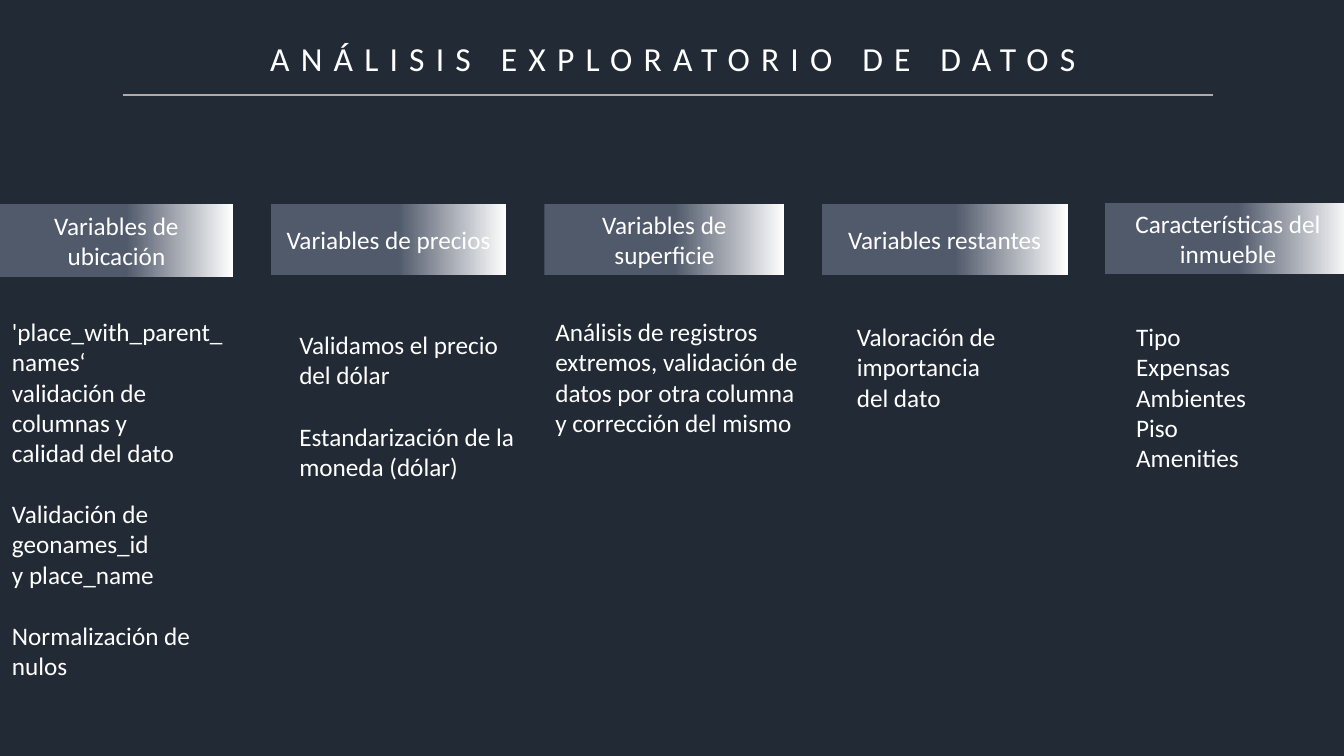
"""Build the slide on exploratory data analysis."""
from dataclasses import dataclass

from lxml import etree
from pptx import Presentation
from pptx.dml.color import RGBColor
from pptx.enum.shapes import MSO_CONNECTOR, MSO_SHAPE
from pptx.enum.text import MSO_ANCHOR, MSO_AUTO_SIZE, PP_ALIGN
from pptx.oxml.ns import qn
from pptx.util import Inches, Pt

STRAIGHT, RECTANGLE = MSO_CONNECTOR.STRAIGHT, MSO_SHAPE.RECTANGLE
TOP, MIDDLE = MSO_ANCHOR.TOP, MSO_ANCHOR.MIDDLE
LEFT, CENTER = PP_ALIGN.LEFT, PP_ALIGN.CENTER
NO_AUTOFIT = MSO_AUTO_SIZE.NONE
TITLE_ONLY = 5

TITLE = "ANÁLISIS EXPLORATORIO DE DATOS"
COLUMNS = [
    {"header": "Variables de ubicación", "header_at": (0, 2.02, 2.31, 0.73),
     "body_at": (0.02, 3.09, 2.39, 3.74),
     "groups": [["'place_with_parent_names‘", "validación de columnas y", "calidad del dato"],
                ["Validación de geonames_id", "y place_name"],
                ["Normalización de nulos"]]},
    {"header": "Variables de precios", "header_at": (2.69, 2.02, 2.33, 0.71),
     "body_at": (2.87, 3.22, 2.5, 2.22),
     "groups": [["Validamos el precio", "del dólar"],
                ["Estandarización de la", "moneda (dólar)"]]},
    {"header": "Variables de superficie", "header_at": (5.4, 2.02, 2.38, 0.71),
     "body_at": (5.41, 3.09, 2.76, 1.92),
     "groups": [["Análisis de registros", "extremos, validación de",
                 "datos por otra columna", "y corrección del mismo"]]},
    {"header": "Variables restantes", "header_at": (8.15, 2.02, 2.44, 0.71),
     "body_at": (8.4, 3.14, 2.27, 1.01),
     "groups": [["Valoración de importancia", "del dato"]]},
    {"header": "Características del inmueble", "header_at": (10.96, 2.01, 2.44, 0.71),
     "body_at": (11.17, 3.14, 1.37, 1.92),
     "groups": [["Tipo", "Expensas", "Ambientes", "Piso", "Amenities"]]},
]


@dataclass(frozen=True)
class Theme:
    font: str = "Calibri"
    background: RGBColor = RGBColor(0x22, 0x2A, 0x35)
    text: RGBColor = RGBColor(0xFF, 0xFF, 0xFF)
    rule: RGBColor = RGBColor(0xAF, 0xAB, 0xAB)
    gradient: tuple = ((0.54, RGBColor(0x51, 0x5A, 0x6B)), (1, RGBColor(0xFF, 0xFF, 0xFF)))
    title_size: Pt = Pt(24)
    text_size: Pt = Pt(18)
    group_gap: Pt = Pt(22)


THEME = Theme()


def inches(values):
    return [Inches(value) for value in values]


def write(shape, lines, size, align, anchor):
    frame = shape.text_frame
    frame.text = "\n".join(lines)
    frame.word_wrap = True
    frame.auto_size = NO_AUTOFIT
    frame.vertical_anchor = anchor
    for para in frame.paragraphs:
        para.alignment = align
        for span in para.runs:
            span.font.name = THEME.font
            span.font.size = size
            span.font.color.rgb = THEME.text
    return frame


def add_title(page):
    title = page.shapes.title
    title.left, title.top, title.width, title.height = inches((1.09, 0.33, 11.17, 0.5))
    frame = write(title, [TITLE], THEME.title_size, CENTER, TOP)
    frame.paragraphs[0].runs[0].font._element.set("spc", "800")
    rule = page.shapes.add_connector(STRAIGHT, *inches((1.22, 0.94, 12.03, 0.94)))
    rule.line.color.rgb = THEME.rule
    rule.line.width = Pt(1.5)
    etree.SubElement(rule._element.spPr, qn("a:effectLst"))


def add_header(page, text, place):
    header = page.shapes.add_shape(RECTANGLE, *inches(place))
    header.shadow.inherit = False
    header.line.fill.background()
    header.fill.gradient()
    header.fill.gradient_angle = 0
    for stop, (position, color) in zip(header.fill.gradient_stops, THEME.gradient):
        stop.position = position
        stop.color.rgb = color
    write(header, [text], THEME.text_size, CENTER, MIDDLE)


def add_body(page, groups, place):
    box = page.shapes.add_textbox(*inches(place))
    lines = [line for group in groups for line in group]
    frame = write(box, lines, THEME.text_size, LEFT, TOP)
    start = 0
    for group in groups[:-1]:
        start += len(group)
        frame.paragraphs[start].space_before = THEME.group_gap


def main():
    deck = Presentation()
    deck.slide_width, deck.slide_height = inches((13.33, 7.5))
    page = deck.slides.add_slide(deck.slide_layouts[TITLE_ONLY])
    page.background.fill.solid()
    page.background.fill.fore_color.rgb = THEME.background
    add_title(page)
    for column in COLUMNS:
        add_header(page, column["header"], column["header_at"])
        add_body(page, column["groups"], column["body_at"])
    deck.save("out.pptx")


if __name__ == "__main__":
    main()
